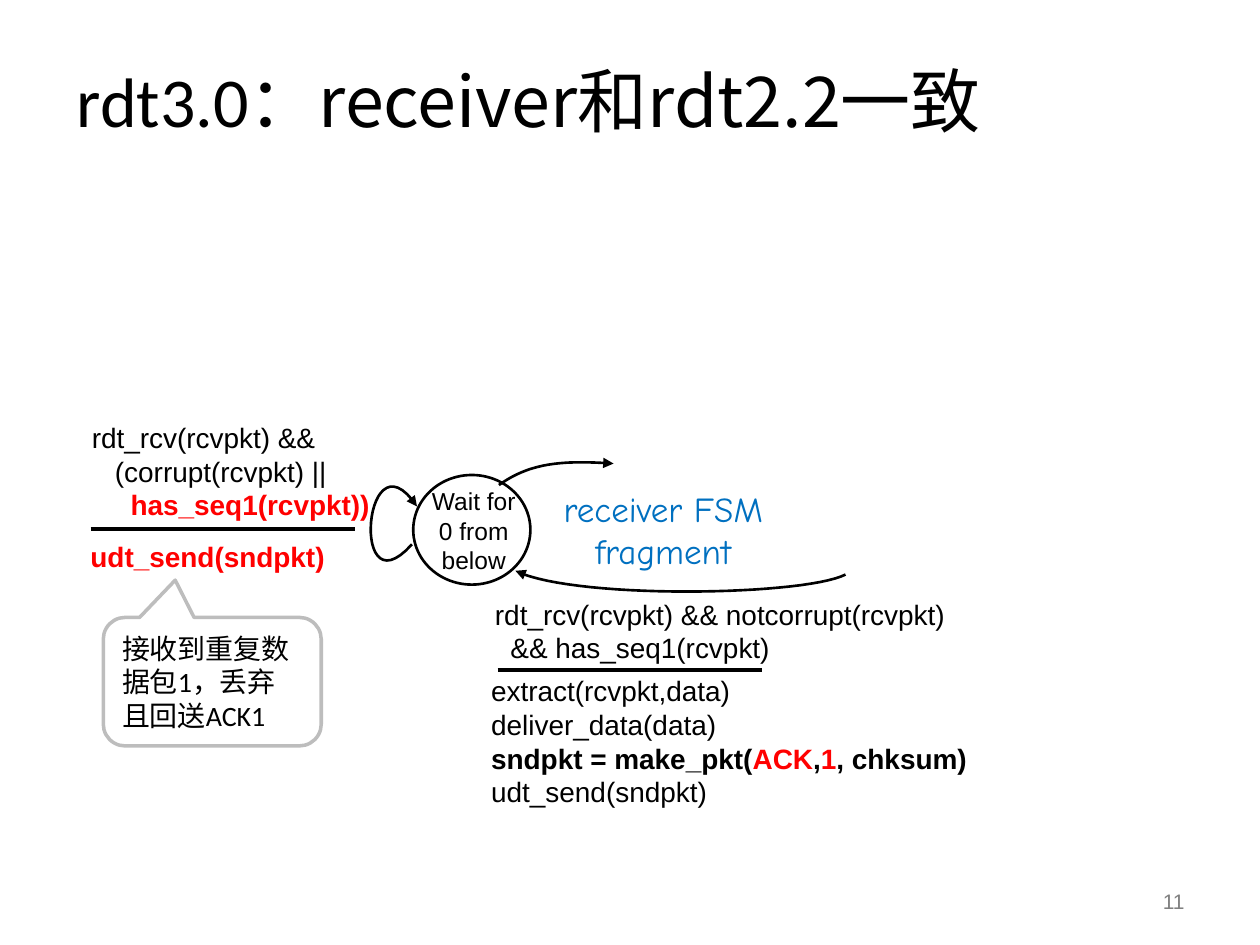
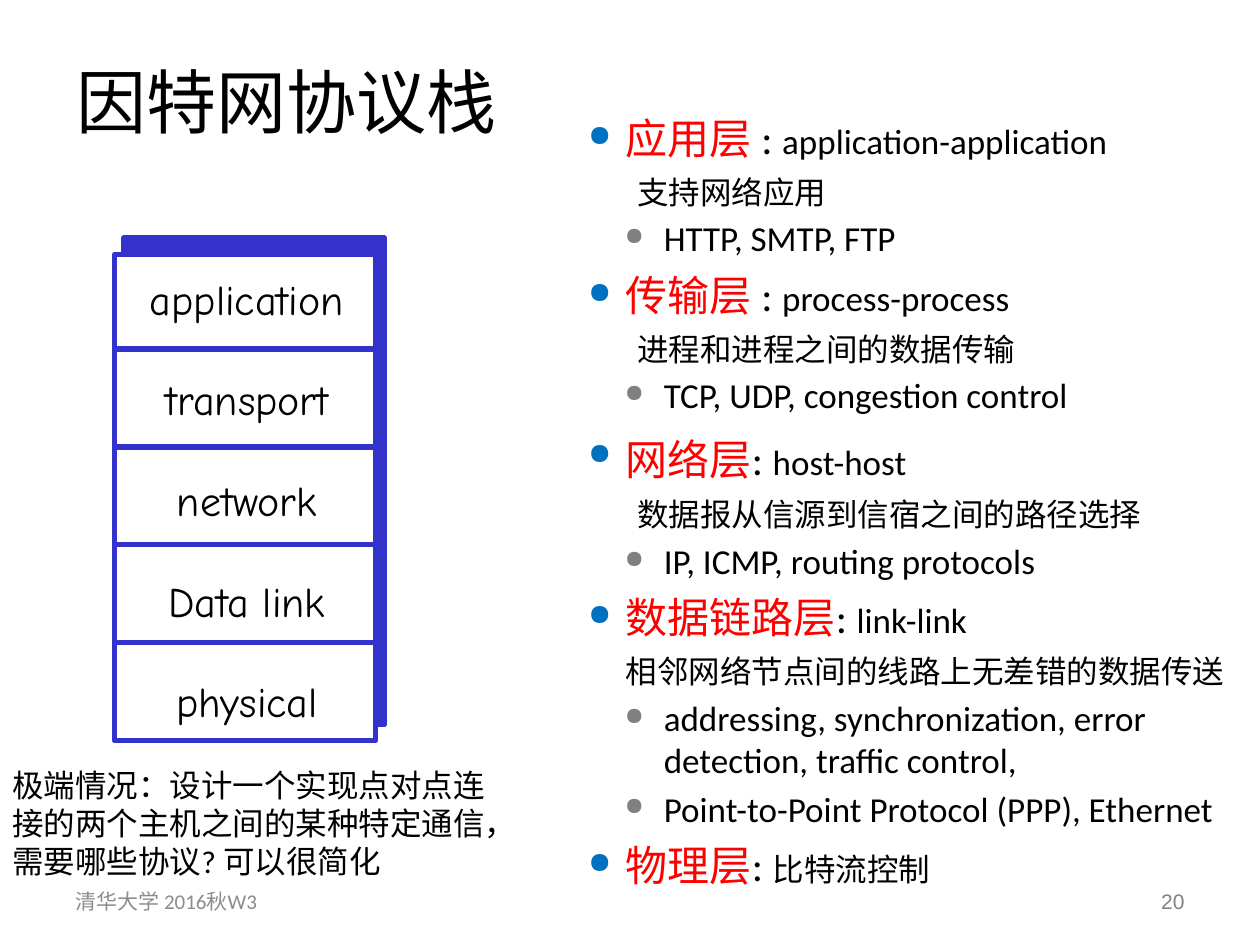
from lxml import etree
from pptx import Presentation
from pptx import util as u
from pptx.dml.color import RGBColor
from pptx.enum import shapes, text
from pptx.oxml import ns

Inches, Pt = u.Inches, u.Pt

BLACK = RGBColor(0x00, 0x00, 0x00)
WHITE = RGBColor(0xFF, 0xFF, 0xFF)
RED = RGBColor(0xFF, 0x00, 0x00)
BLUE = RGBColor(0x00, 0x70, 0xC0)
STACK_BLUE = RGBColor(0x33, 0x33, 0xCC)
GRAY = RGBColor(0x80, 0x80, 0x80)
FOOTER_GRAY = RGBColor(0x8C, 0x8C, 0x8C)
CALLOUT_GRAY = RGBColor(0xBD, 0xBD, 0xBD)

SANS, BODY, COMIC, CJK = "Arial", "Calibri", "Comic Neue", "Noto Sans CJK SC"
TOP, MIDDLE = text.MSO_ANCHOR.TOP, text.MSO_ANCHOR.MIDDLE
LEFT, CENTER, RIGHT = text.PP_ALIGN.LEFT, text.PP_ALIGN.CENTER, text.PP_ALIGN.RIGHT


# Text
def add_element(parent, tag, **attributes):
    return etree.SubElement(parent, ns.qn(tag), attributes)


def set_typeface(font, name):
    font.name = name
    latin = font._element.find(ns.qn("a:latin"))
    latin.addnext(latin.makeelement(ns.qn("a:ea"), {"typeface": name}))


def fill_para(para, spans, size, name=BODY, color=BLACK, align=LEFT):
    """Write spans: a string, or (text, overrides) pairs."""
    para.alignment = align
    para.font.size = Pt(size)
    para.font.color.rgb = color
    set_typeface(para.font, name)
    for words, style in [(spans, {})] if isinstance(spans, str) else spans:
        span = para.add_run()
        span.text = words
        if "size" in style:
            span.font.size = Pt(style["size"])
        if "color" in style:
            span.font.color.rgb = style["color"]
        if "bold" in style:
            span.font.bold = style["bold"]
        if "name" in style:
            set_typeface(span.font, style["name"])


def next_para(frame, index):
    return frame.add_paragraph() if index else frame.paragraphs[0]


def add_text(page, at, lines, size, name=BODY, color=BLACK, align=LEFT,
             anchor=TOP, wrap=True, gap=0, side=0.1):
    box = page.shapes.add_textbox(*map(Inches, at))
    frame = box.text_frame
    frame.word_wrap = wrap
    frame.vertical_anchor = anchor
    frame.margin_left = frame.margin_right = Inches(side)
    for index, spans in enumerate(lines):
        para = next_para(frame, index)
        if index and gap:
            para.space_before = Pt(gap)
        fill_para(para, spans, size, name, color, align)
    return box


def add_code(page, at, lines):
    add_text(page, at, lines, 16, SANS)


# Shapes and lines
def add_outlined(page, kind, at, fill, line, width):
    shape = page.shapes.add_shape(kind, *map(Inches, at))
    shape.shadow.inherit = False
    shape.fill.solid()
    shape.fill.fore_color.rgb = fill
    shape.line.color.rgb = line
    shape.line.width = Pt(width)
    return shape


def add_rule(page, left, right, y, width, color=BLACK):
    rule = page.shapes.add_connector(
        shapes.MSO_CONNECTOR.STRAIGHT, Inches(left), Inches(y), Inches(right), Inches(y))
    rule.line.color.rgb = color
    rule.line.width = Pt(width)
    add_element(rule._element.spPr, "a:effectLst")


def add_curve(page, controls, arrow_end, steps=30):
    """Draw a cubic curve through four control points."""
    def point(t):
        weights = ((1 - t) ** 3, 3 * t * (1 - t) ** 2, 3 * t * t * (1 - t), t ** 3)
        return tuple(Inches(sum(w * c[axis] for w, c in zip(weights, controls)))
                     for axis in (0, 1))

    points = [point(step / steps) for step in range(steps + 1)]
    builder = page.shapes.build_freeform(*points[0])
    builder.add_line_segments(points[1:], close=False)
    curve = builder.convert_to_shape()
    curve.shadow.inherit = False
    curve.fill.background()
    curve.line.color.rgb = BLACK
    curve.line.width = Pt(1.5)
    add_element(curve.line._get_or_add_ln(), arrow_end, type="triangle")


# Shared page parts
def add_page(deck, number):
    page = deck.slides.add_slide(deck.slide_layouts[6])
    add_text(page, (7.17, 6.95, 2.33, 0.4), [number], 12, SANS, GRAY, RIGHT, MIDDLE)
    return page


def add_title(page, at, spans, anchor):
    add_text(page, at, [spans], 40, CJK, anchor=anchor)


# Layer list
def add_bullet(para, color):
    props = para._p.get_or_add_pPr()
    add_element(add_element(props, "a:buClr"), "a:srgbClr", val=str(color))
    add_element(props, "a:buSzPct", val="70000")
    add_element(props, "a:buChar", char="●")


def set_indent(para, margin, hanging):
    props = para._p.get_or_add_pPr()
    props.set("marL", str(Inches(margin)))
    props.set("indent", str(Inches(hanging)))


def add_layer_list(page, at, layers):
    frame = add_text(page, at, [], 20).text_frame
    rows = []
    for name, colon, scope, note, note_margin, examples in layers:
        heading = [(name, {"size": 24, "color": RED}), (colon, {"size": 24})] + scope
        rows.append((heading, 20, 0.3, -0.3, 5.8, BLUE))
        if note:
            rows.append((note, 18, note_margin, 0, 5.8, None))
        rows += [(example, 20, 0.6, -0.31, 3.7, GRAY) for example in examples]
    for index, (spans, size, margin, hanging, before, bullet) in enumerate(rows):
        para = next_para(frame, index)
        set_indent(para, margin, hanging)
        if bullet is not None:
            add_bullet(para, bullet)
        if index:
            para.space_before = Pt(before)
        fill_para(para, spans, size)


# Protocol stack
def add_stack(page, labels):
    left, top, width, height = 0.91, 2.02, 2.07, 3.86
    box_kind = shapes.MSO_SHAPE.RECTANGLE
    add_outlined(page, box_kind, (left + 0.07, top - 0.13, width, height),
                 STACK_BLUE, STACK_BLUE, 3)
    add_outlined(page, box_kind, (left, top, width, height), WHITE, STACK_BLUE, 3)
    add_text(page, (1.03, 2.12, 1.86, 3.69), labels, 24, COMIC,
             align=CENTER, wrap=False, gap=28.7)
    for row in range(len(labels) - 1):
        add_rule(page, left, left + width, 2.77 + 0.777 * row, 3, STACK_BLUE)


def build_receiver_page(deck):
    page = add_page(deck, "11")

    # State and its transitions
    add_outlined(page, shapes.MSO_SHAPE.OVAL, (3.28, 3.77, 0.93, 0.87), WHITE, BLACK, 1.5)
    add_text(page, (3.32, 3.81, 0.88, 0.67), ["Wait for", "0 from below"], 14, SANS,
             align=CENTER, side=0.05)
    add_curve(page, [(3.96, 3.85), (4.2, 3.68), (4.44, 3.65), (4.87, 3.68)], "a:tailEnd")
    add_curve(page, [(4.09, 4.53), (4.55, 4.76), (6.38, 4.73), (6.71, 4.56)], "a:headEnd")
    add_curve(page, [(3.27, 4.32), (2.77, 4.88), (2.89, 3.39), (3.31, 4.02)], "a:tailEnd")

    # Packet accepted
    bold, red, bold_red = {"bold": True}, {"color": RED}, {"bold": True, "color": RED}
    add_code(page, (3.83, 4.69, 4.31, 0.62),
             ["rdt_rcv(rcvpkt) && notcorrupt(rcvpkt)", "  && has_seq1(rcvpkt)"])
    add_rule(page, 3.95, 6.05, 5.32, 2.25)
    add_code(page, (3.8, 5.3, 4.57, 0.76), [
        "extract(rcvpkt,data)",
        "deliver_data(data)",
        [("sndpkt = make_pkt(", bold), ("ACK", bold_red), (",", bold),
         ("1", bold_red), (", chksum)", bold)],
        "udt_send(sndpkt)"])

    # Corrupt or repeated packet
    add_rule(page, 0.72, 2.82, 4.2, 2.25)
    add_code(page, (0.63, 3.29, 2.58, 0.7), [
        "rdt_rcv(rcvpkt) &&",
        "   (corrupt(rcvpkt) ||",
        [("     ", red), ("has_seq1(rcvpkt))", bold_red)]])
    add_code(page, (0.62, 4.23, 2.23, 0.45), [[("udt_send(sndpkt)", bold_red)]])

    # Caption and callout
    add_text(page, (4.28, 3.82, 1.97, 0.77), ["receiver FSM", "fragment"], 20, COMIC,
             BLUE, CENTER, wrap=False)
    callout = add_outlined(page, shapes.MSO_SHAPE.ROUNDED_RECTANGULAR_CALLOUT,
                           (0.82, 4.9, 1.73, 1.02), WHITE, CALLOUT_GRAY, 2)
    for index, value in enumerate((-0.17, -0.79, 0.17)):
        callout.adjustments[index] = value
    callout.text_frame.word_wrap = True
    callout.text_frame.vertical_anchor = MIDDLE
    fill_para(callout.text_frame.paragraphs[0], "接收到重复数据包1，丢弃且回送ACK1", 16)

    add_title(page, (0.51, 0.41, 8.99, 0.98),
              [("rdt3.0", {"name": BODY}), ("：receiver和rdt2.2一致", {})], TOP)


def build_stack_page(deck):
    page = add_page(deck, "20")
    add_text(page, (0.5, 6.95, 2.33, 0.4), ["清华大学 2016秋W3"], 12,
             color=FOOTER_GRAY, anchor=MIDDLE)
    add_title(page, (0.51, 0.36, 8.49, 0.87), "因特网协议栈", MIDDLE)

    # Name, colon, scope, note, note indent, examples
    add_layer_list(page, (4.57, 0.84, 5.43, 6.3), [
        ("应用层 ", ": ", [("application-application", {})],
         "支持网络应用", 0.39, ["HTTP, SMTP, FTP"]),
        ("传输层 ", ": ", [("process-process", {})],
         "进程和进程之间的数据传输", 0.39, ["TCP, UDP, congestion control"]),
        ("网络层", ": ", [("host-host", {}), (" ", {"size": 28})],
         "数据报从信源到信宿之间的路径选择", 0.39, ["IP, ICMP, routing protocols"]),
        ("数据链路层", ": ", [("link-link", {})],
         "相邻网络节点间的线路上无差错的数据传送", 0.3,
         ["addressing, synchronization, error detection, traffic control,",
          "Point-to-Point Protocol (PPP), Ethernet"]),
        ("物理层", ": ", [("比特流控制", {"size": 18})], None, 0, []),
    ])

    add_stack(page, ["application", "transport", "network", "Data link", "physical"])
    add_text(page, (0, 6.03, 4.06, 1.01),
             ["极端情况：设计一个实现点对点连接的两个主机之间的某种特定通信，"
              "需要哪些协议? 可以很简化"], 18)


def main():
    deck = Presentation()
    deck.slide_width, deck.slide_height = Inches(10), Inches(7.5)
    build_receiver_page(deck)
    build_stack_page(deck)
    deck.save("out.pptx")


if __name__ == "__main__":
    main()
